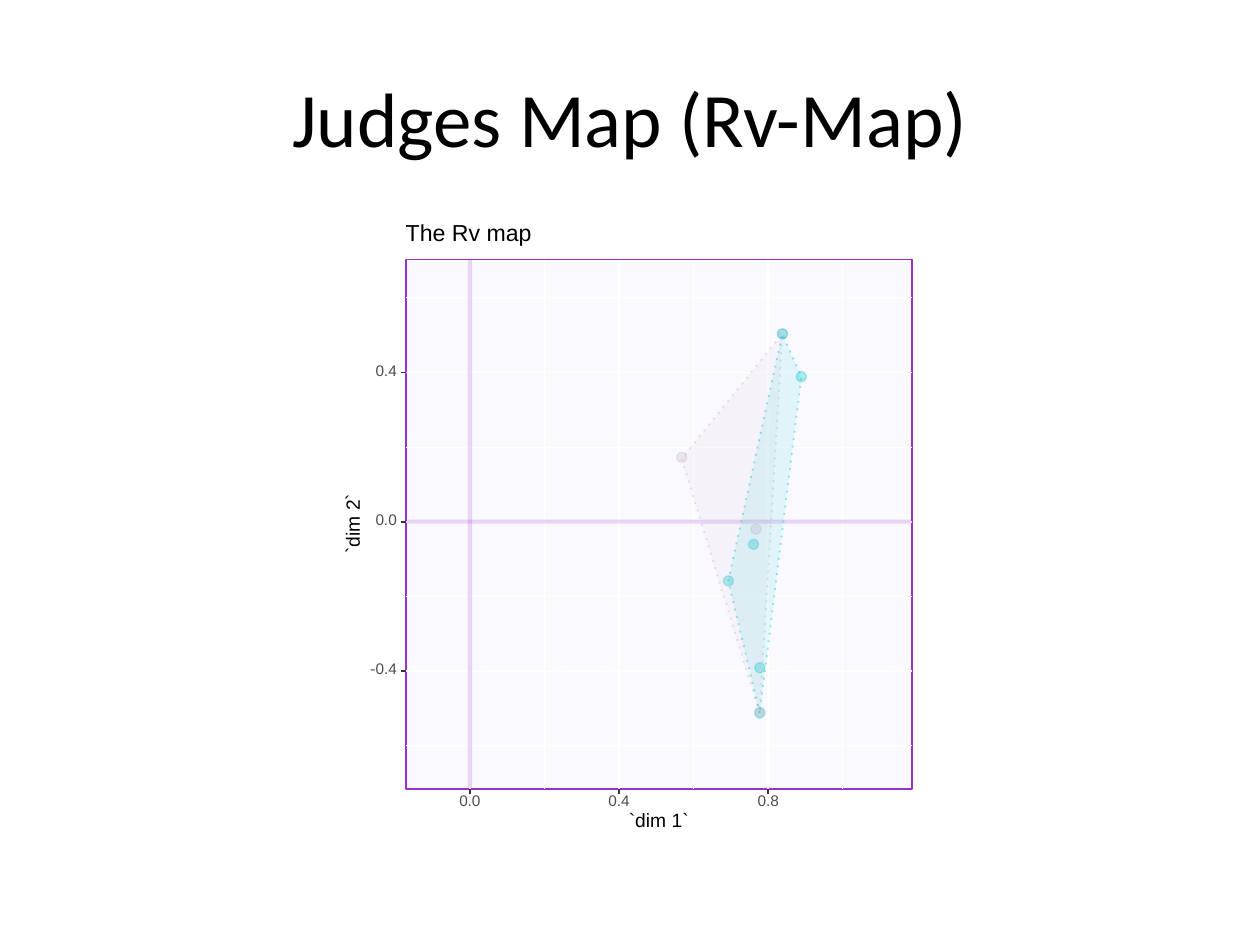
from typing import NamedTuple, Optional

from lxml import etree
from pptx import Presentation
from pptx import util as u
from pptx.dml.color import RGBColor
from pptx.enum import dml, shapes, text
from pptx.oxml.ns import qn

WHITE = RGBColor(0xFF, 0xFF, 0xFF)
BLACK = RGBColor(0x00, 0x00, 0x00)
LAVENDER = RGBColor(0xE6, 0xE6, 0xFA)
ORCHID = RGBColor(0x99, 0x32, 0xCC)
THISTLE = RGBColor(0xCD, 0xB5, 0xCD)
TURQUOISE = RGBColor(0x00, 0xC5, 0xCD)
TICK_COLOR = RGBColor(0x33, 0x33, 0x33)
TICK_TEXT = RGBColor(0x4D, 0x4D, 0x4D)

# Plot panel and data scale, in inches
LEFT, TOP, RIGHT, BOTTOM = 3.22, 2.06, 7.24, 6.26
ZERO_X, ZERO_Y, UNIT = 3.73, 4.14, 2.96
TICK, DOT = 0.04, 0.08


class Judge(NamedTuple):
    x: float
    y: float
    color: RGBColor


class Hull(NamedTuple):
    corners: list[tuple[float, float]]
    color: RGBColor


class Label(NamedTuple):
    words: str
    left: float
    top: float
    width: float
    height: float
    size: float
    color: RGBColor = BLACK
    rotation: float = 0


JUDGES = [
    Judge(6.00, 4.20, THISTLE), Judge(6.03, 5.66, TURQUOISE),
    Judge(6.21, 2.65, THISTLE), Judge(6.03, 5.65, THISTLE),
    Judge(5.98, 4.32, TURQUOISE), Judge(6.36, 2.99, TURQUOISE),
    Judge(6.03, 5.30, TURQUOISE), Judge(6.21, 2.65, TURQUOISE),
    Judge(5.41, 3.63, THISTLE), Judge(5.78, 4.61, TURQUOISE),
]
HULLS = [
    Hull([(6.03, 5.66), (5.41, 3.64), (6.21, 2.65)], THISTLE),
    Hull([(6.03, 5.66), (5.78, 4.61), (6.21, 2.65), (6.36, 2.99)], TURQUOISE),
]
TITLES = [
    Label("`dim 1`", 4.99, 6.47, 0.48, 0.11, 11),
    Label("`dim 2`", 2.57, 4.10, 0.48, 0.11, 11, rotation=270),
    Label("The Rv map", LEFT, 1.78, 1, 0.17, 13.2),
]


def x_at(value: float) -> float:
    return ZERO_X + UNIT * value


def y_at(value: float) -> float:
    return ZERO_Y - UNIT * value


def set_opacity(parent, percent: int) -> None:
    for color in parent.findall(f"{qn('a:solidFill')}/{qn('a:srgbClr')}"):
        etree.SubElement(color, qn("a:alpha")).set("val", str(percent * 1000))


def paint(shape, fill: RGBColor, line: RGBColor, width: float,
          fill_opacity: int = 100, line_opacity: int = 100) -> None:
    shape.shadow.inherit = False
    shape.fill.solid()
    shape.fill.fore_color.rgb = fill
    shape.line.color.rgb = line
    shape.line.width = u.Pt(width)
    properties = shape._element.spPr
    set_opacity(properties, fill_opacity)
    set_opacity(properties.find(qn("a:ln")), line_opacity)


def add_box(kind, left: float, top: float, width: float, height: float):
    return slide.shapes.add_shape(
        kind, u.Inches(left), u.Inches(top), u.Inches(width), u.Inches(height))


def add_line(x1: float, y1: float, x2: float, y2: float,
             color: RGBColor, width: float, opacity: int = 100) -> None:
    line = slide.shapes.add_connector(
        shapes.MSO_CONNECTOR.STRAIGHT,
        u.Inches(x1), u.Inches(y1), u.Inches(x2), u.Inches(y2))
    line.line.color.rgb = color
    line.line.width = u.Pt(width)
    properties = line._element.spPr
    set_opacity(properties.find(qn("a:ln")), opacity)
    etree.SubElement(properties, qn("a:effectLst"))


def add_row(value: float, color: RGBColor, width: float, opacity: int = 100) -> None:
    add_line(LEFT, y_at(value), RIGHT, y_at(value), color, width, opacity)


def add_column(value: float, color: RGBColor, width: float, opacity: int = 100) -> None:
    add_line(x_at(value), BOTTOM, x_at(value), TOP, color, width, opacity)


def add_hull(hull: Hull) -> None:
    points = [(u.Inches(x), u.Inches(y)) for x, y in hull.corners]
    builder = slide.shapes.build_freeform(*points[0])
    builder.add_line_segments(points[1:], close=True)
    shape = builder.convert_to_shape()
    paint(shape, hull.color, hull.color, 1.07, 10, 40)
    shape.line.dash_style = dml.MSO_LINE.ROUND_DOT
    shape._element.spPr.find(f".//{qn('a:prstDash')}").set("val", "dot")


def add_label(label: Label, align: Optional[text.PP_ALIGN] = None) -> None:
    box = slide.shapes.add_textbox(
        u.Inches(label.left), u.Inches(label.top),
        u.Inches(label.width), u.Inches(label.height))
    box.rotation = label.rotation
    frame = box.text_frame
    frame.margin_left = frame.margin_right = frame.margin_top = frame.margin_bottom = 0
    frame.vertical_anchor = text.MSO_ANCHOR.MIDDLE
    frame.word_wrap = False
    frame.text = label.words
    paragraph = frame.paragraphs[0]
    paragraph.alignment = align
    paragraph.line_spacing = u.Pt(label.size)
    font = paragraph.runs[0].font
    font.name, font.size = "Arial", u.Pt(label.size)
    font.color.rgb = label.color


presentation = Presentation()
presentation.slide_width, presentation.slide_height = u.Inches(10), u.Inches(7.5)
slide = presentation.slides.add_slide(presentation.slide_layouts[5])

# Slide title
title = slide.shapes.title
title.left, title.top = u.Inches(0.5), u.Inches(0.3)
title.width, title.height = u.Inches(9), u.Inches(1.25)
title.text_frame.text = "Judges Map (Rv-Map)"
title_paragraph = title.text_frame.paragraphs[0]
title_paragraph.alignment = text.PP_ALIGN.CENTER
title_font = title_paragraph.runs[0].font
title_font.name, title_font.size = "Calibri", u.Pt(44)
title_font.color.rgb = BLACK

# Backgrounds and panel
RECTANGLE = shapes.MSO_SHAPE.RECTANGLE
paint(add_box(RECTANGLE, 0.5, 1.75, 9, 4.95), WHITE, WHITE, 0.75)
paint(add_box(RECTANGLE, 2.68, 1.75, 4.63, 4.95), WHITE, WHITE, 1.07)
paint(add_box(RECTANGLE, LEFT, TOP, RIGHT - LEFT, BOTTOM - TOP),
      LAVENDER, ORCHID, 1.07, fill_opacity=20)

# Minor grid, major grid and zero axes
X_TICKS, Y_TICKS = (0.0, 0.4, 0.8), (-0.4, 0.0, 0.4)
for rows, columns, weight in (
        ((-0.6, -0.2, 0.2, 0.6), (0.2, 0.6, 1.0), 0.53),
        (Y_TICKS, X_TICKS, 1.07)):
    for value in rows:
        add_row(value, WHITE, weight)
    for value in columns:
        add_column(value, WHITE, weight)
add_row(0, ORCHID, 2.35, 20)
add_column(0, ORCHID, 2.35, 20)

# Judges and the hulls around the two groups
for judge in JUDGES:
    dot = add_box(shapes.MSO_SHAPE.OVAL, judge.x - DOT / 2, judge.y - DOT / 2, DOT, DOT)
    paint(dot, judge.color, judge.color, 0.71, 30, 30)
for hull in HULLS:
    add_hull(hull)

# Ticks with their values
for value in Y_TICKS:
    y = y_at(value)
    width = 0.21 if value < 0 else 0.17
    add_line(LEFT - TICK, y, LEFT, y, TICK_COLOR, 1.07)
    add_label(Label(f"{value:.1f}", 3.15 - width, y - 0.05, width, 0.09, 8.8, TICK_TEXT),
              text.PP_ALIGN.RIGHT)
for value in X_TICKS:
    x = x_at(value)
    add_line(x, BOTTOM + TICK, x, BOTTOM, TICK_COLOR, 1.07)
    add_label(Label(f"{value:.1f}", x - 0.085, 6.32, 0.17, 0.09, 8.8, TICK_TEXT),
              text.PP_ALIGN.CENTER)

# Axis names and plot heading
for label in TITLES:
    add_label(label)

presentation.save("out.pptx")
